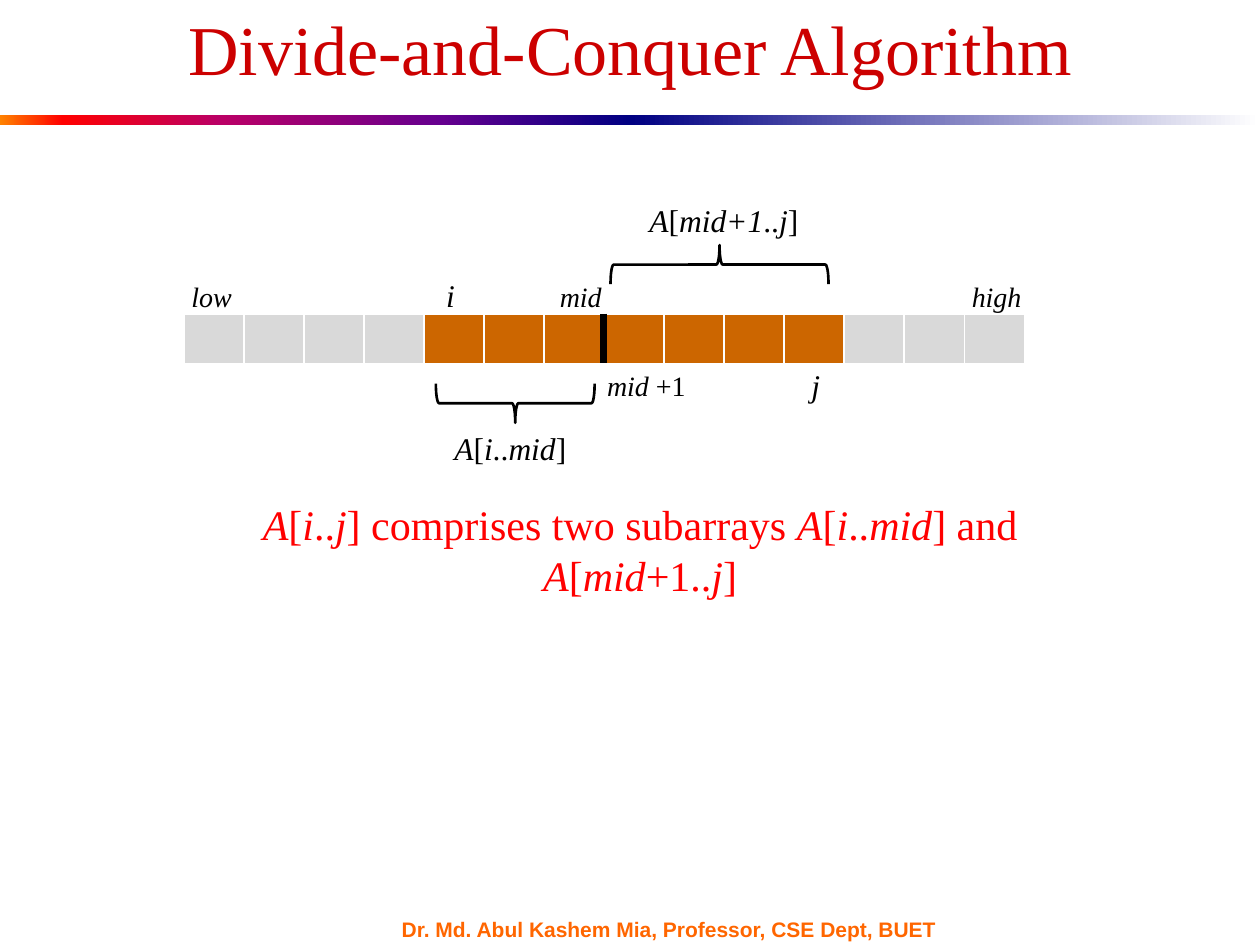
from lxml.etree import SubElement
from pptx import Presentation
from pptx.dml.color import RGBColor
from pptx.enum.shapes import MSO_CONNECTOR, MSO_SHAPE as Preset
from pptx.enum.text import MSO_ANCHOR as Anchor, MSO_AUTO_SIZE as AutoSize, PP_ALIGN as Align
from pptx.oxml.ns import qn
from pptx.util import Inches, Pt

BLACK = RGBColor(0x00, 0x00, 0x00)
WHITE = RGBColor(0xFF, 0xFF, 0xFF)
GREY = RGBColor(0xD9, 0xD9, 0xD9)
BROWN = RGBColor(0xCC, 0x66, 0x00)
CRIMSON = RGBColor(0xCC, 0x00, 0x00)
RED = RGBColor(0xFF, 0x00, 0x00)
ORANGE = RGBColor(0xFF, 0x66, 0x00)
AMBER = RGBColor(0xFF, 0x82, 0x00)
MAGENTA = RGBColor(0xBA, 0x00, 0x66)
PURPLE = RGBColor(0x66, 0x00, 0x8F)
NAVY = RGBColor(0x00, 0x00, 0x82)

WARM_STOPS = [(0, AMBER), (10, RED), (35, MAGENTA), (70, PURPLE), (100, NAVY)]
COOL_STOPS = [(0, NAVY), (100, WHITE)]
CELL_COUNT = 14
SUBARRAY = range(4, 11)


def write_text(shape, text, size=18, color=BLACK, font="Times New Roman",
               bold=False, align=Align.CENTER, anchor=Anchor.TOP):
    """Write one paragraph in which asterisks enclose the italic parts."""
    frame = shape.text_frame
    frame.word_wrap = True
    frame.auto_size = AutoSize.NONE
    frame.vertical_anchor = anchor
    paragraph = frame.paragraphs[0]
    paragraph.alignment = align
    for index, part in enumerate(text.split("*")):
        if part:
            run = paragraph.add_run()
            run.text = part
            run.font.name = font
            run.font.size = Pt(size)
            run.font.bold = bold
            run.font.italic = index % 2 == 1
            run.font.color.rgb = color


def add_label(slide, text, left, top, width, height=0.4, **text_format):
    """Add a text box with formatted text."""
    box = slide.shapes.add_textbox(Inches(left), Inches(top), Inches(width), Inches(height))
    write_text(box, text, **text_format)


def add_title(slide, text):
    """Place and fill the title placeholder."""
    title = slide.shapes.title
    title.left, title.top = Inches(0.5), Inches(0.25)
    title.width, title.height = Inches(9), Inches(0.51)
    write_text(title, text, size=40, color=CRIMSON, anchor=Anchor.BOTTOM)


def add_gradient_bar(slide, left, stops):
    """Add half of the rule below the title with a left-to-right gradient."""
    bar = slide.shapes.add_shape(Preset.RECTANGLE, Inches(left), Inches(0.91), Inches(5), Inches(0.08))
    bar.shadow.inherit = False
    bar.line.fill.background()
    bar.fill.gradient()
    bar.fill.gradient_angle = 0
    stop_list = bar._element.spPr.find(qn("a:gradFill")).find(qn("a:gsLst"))
    for old_stop in list(stop_list):
        stop_list.remove(old_stop)
    for position, color in stops:
        stop = SubElement(stop_list, qn("a:gs"), pos=str(position * 1000))
        SubElement(stop, qn("a:srgbClr"), val=str(color))


def add_cell_borders(cell, color):
    """Draw thin borders around a cell with a thicker bottom edge."""
    properties = cell._tc.get_or_add_tcPr()
    for side, width in (("L", 1), ("R", 1), ("T", 1), ("B", 3)):
        line = SubElement(properties, qn(f"a:ln{side}"), w=str(Pt(width)))
        fill = SubElement(line, qn("a:solidFill"))
        SubElement(fill, qn("a:srgbClr"), val=str(color))


def add_array(slide):
    """Add the array as a one-row table with the subarray highlighted."""
    frame = slide.shapes.add_table(1, CELL_COUNT, Inches(1.46), Inches(2.49), Inches(6.67), Inches(0.41))
    for index, cell in enumerate(frame.table.rows[0].cells):
        add_cell_borders(cell, WHITE)
        cell.fill.solid()
        cell.fill.fore_color.rgb = BROWN if index in SUBARRAY else GREY


def add_divider(slide, x, top, bottom):
    """Add the thick vertical line at the middle of the array."""
    line = slide.shapes.add_connector(MSO_CONNECTOR.STRAIGHT, Inches(x), Inches(top), Inches(x), Inches(bottom))
    line.line.color.rgb = BLACK
    line.line.width = Pt(4.5)
    SubElement(line._element.spPr, qn("a:effectLst"))


def add_brace(slide, center_x, center_y, span, rotation):
    """Add a brace turned to lie along the array."""
    depth = 0.31
    brace = slide.shapes.add_shape(
        Preset.LEFT_BRACE, Inches(center_x - depth / 2), Inches(center_y - span / 2),
        Inches(depth), Inches(span))
    brace.rotation = rotation
    brace.adjustments[0] = 0.08
    brace.adjustments[1] = 0.5
    brace.shadow.inherit = False
    brace.fill.background()
    brace.line.color.rgb = BLACK
    brace.line.width = Pt(1.5)


def main():
    """Build and save the slide."""
    presentation = Presentation()
    presentation.slide_width, presentation.slide_height = Inches(10), Inches(7.5)
    slide = presentation.slides.add_slide(presentation.slide_layouts[5])

    add_gradient_bar(slide, 0, WARM_STOPS)
    add_gradient_bar(slide, 5, COOL_STOPS)
    add_label(slide, "Dr. Md. Abul Kashem Mia, Professor, CSE Dept, BUET", 3.09, 7.28, 4.67, 0.18,
              size=12, color=ORANGE, font="Arial", bold=True, align=Align.LEFT, anchor=Anchor.MIDDLE)
    add_title(slide, "Divide-and-Conquer Algorithm")

    add_array(slide)
    add_divider(slide, 4.79, 2.49, 2.88)
    for text, center in (("*low*", 1.68), ("*mid*", 4.61), ("*high*", 7.91)):
        add_label(slide, text, center - 0.4, 2.17, 0.8, 0.37, size=16)
    add_label(slide, "*mid *+1", 4.54, 2.88, 1.18, 0.37, size=16)
    add_label(slide, "*i*", 3.44, 2.14, 0.27)
    add_label(slide, "*j*", 6.34, 2.86, 0.27)

    add_label(slide, "*A*[*i*..*mid*]", 3.5, 3.36, 1.1)
    add_label(slide, "*A*[*mid+1*..*j*]", 4.76, 1.55, 1.97)
    add_brace(slide, 5.71, 2.1, 1.73, 90)
    add_brace(slide, 4.09, 3.2, 1.26, 270)
    add_label(slide, "*A*[*i*..*j*] comprises two subarrays *A*[*i*..*mid*] and *A*[*mid*+1..*j*]",
              1.22, 3.91, 7.72, 0.5, size=24, color=RED)

    presentation.save("out.pptx")


if __name__ == "__main__":
    main()
